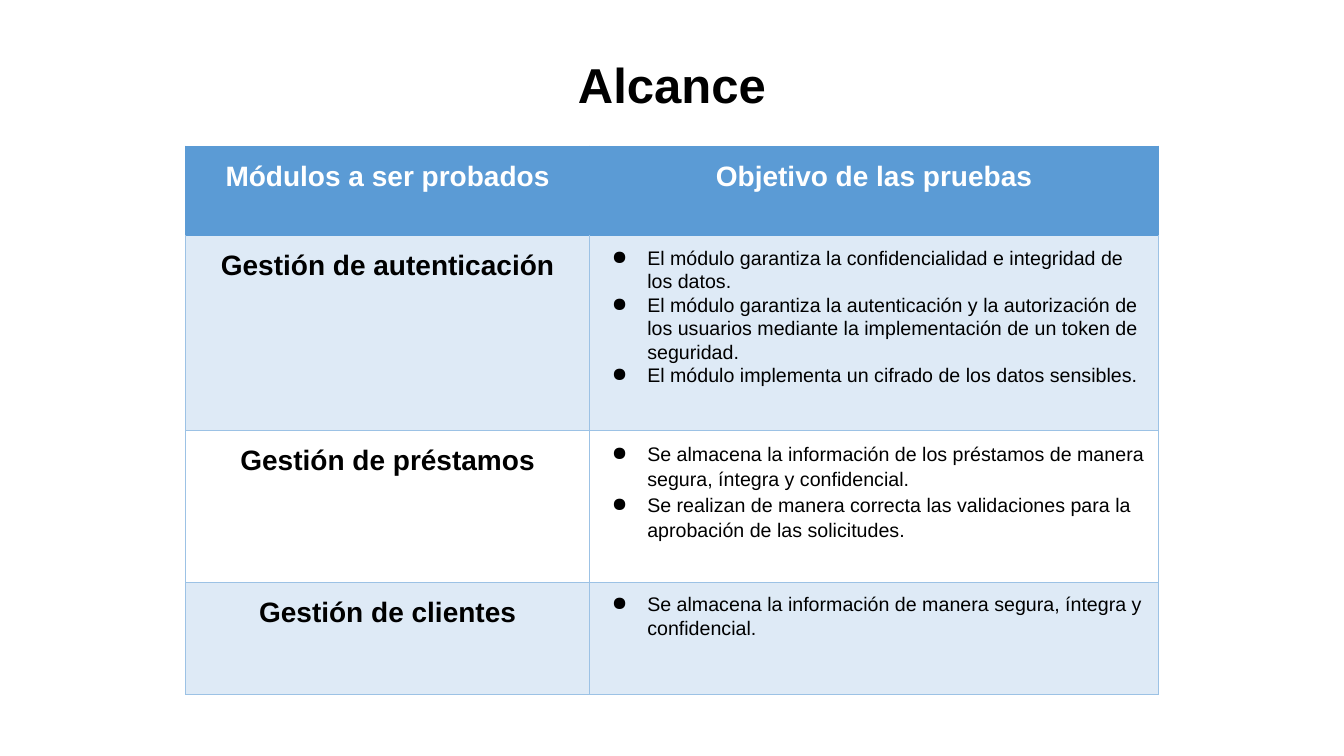
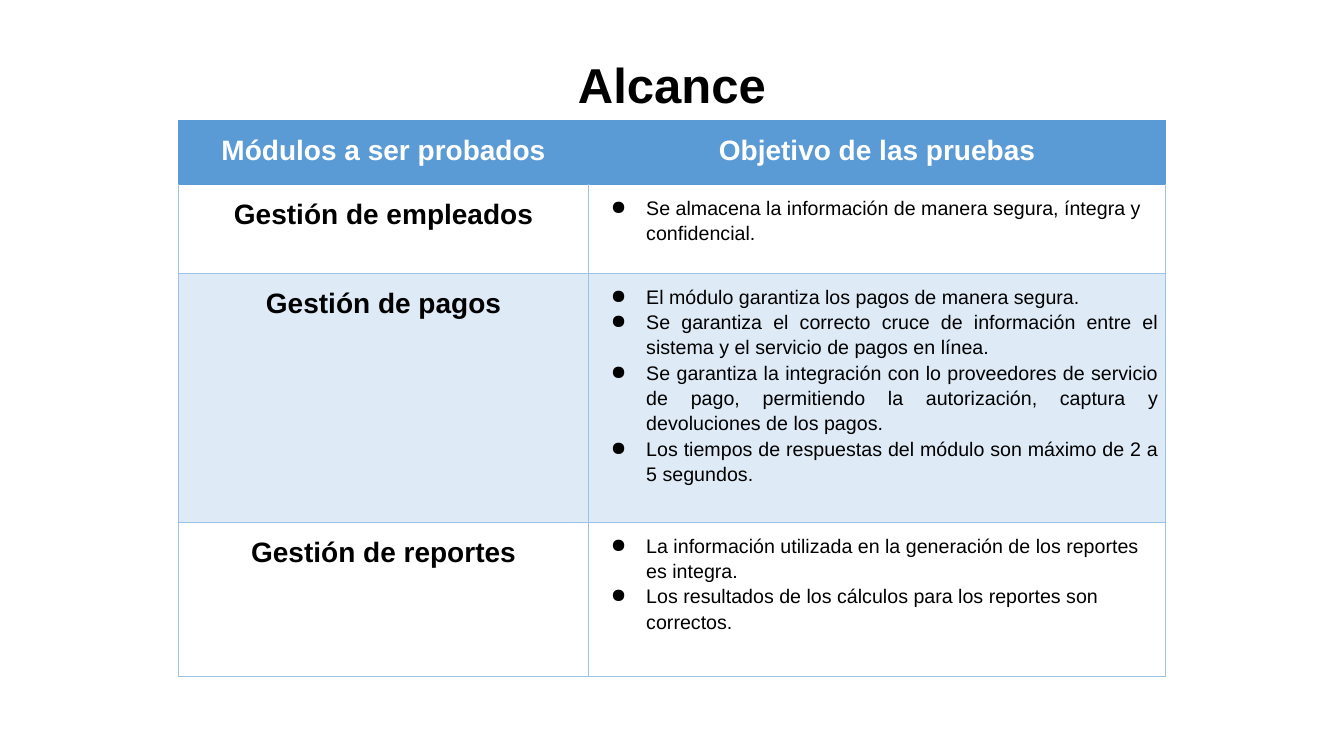
"""Build two scope slides, each a title over a table of modules and test goals."""
from dataclasses import dataclass

from lxml import etree
from pptx import Presentation
from pptx import presentation as prs
from pptx import slide as sld
from pptx import table as tab
from pptx.dml.color import RGBColor
from pptx.enum import text as enum
from pptx.oxml import ns
from pptx.text import text as tx
from pptx.util import Inches, Pt

HUES = {"ink": "000000", "white": "FFFFFF", "head": "5B9BD5", "band": "DEEAF6", "edge": "9CC2E5"}
FONT = "Arial"
HEADS = ("Módulos a ser probados", "Objetivo de las pruebas")
MID, LEFT, JUST = enum.PP_ALIGN.CENTER, enum.PP_ALIGN.LEFT, enum.PP_ALIGN.JUSTIFY


@dataclass
class Module:
    name: str
    goals: list[str]
    height: float
    shade: bool = False
    lead: float = 1.15
    align: enum.PP_ALIGN = LEFT


@dataclass
class Scope:
    left: float
    top: float
    cols: tuple[float, float]
    head: float
    rows: list[Module]


SCOPES = [
    Scope(1.84, 1.45, (4.01, 5.64), 0.89, [
        Module("Gestión de autenticación", [
            "El módulo garantiza la confidencialidad e integridad de los datos.",
            "El módulo garantiza la autenticación y la autorización de los usuarios "
            "mediante la implementación de un token de seguridad.",
            "El módulo implementa un cifrado de los datos sensibles.",
        ], 1.93, shade=True, lead=1.07),
        Module("Gestión de préstamos", [
            "Se almacena la información de los préstamos de manera segura, íntegra y confidencial.",
            "Se realizan de manera correcta las validaciones para la aprobación de las solicitudes.",
        ], 1.51),
        Module("Gestión de clientes", [
            "Se almacena la información de manera segura, íntegra y confidencial.",
        ], 1.11, shade=True, lead=1.07),
    ]),
    Scope(1.77, 1.19, (4.07, 5.72), 0.64, [
        Module("Gestión de empleados", [
            "Se almacena la información de manera segura, íntegra y confidencial.",
        ], 0.88),
        Module("Gestión de pagos", [
            "El módulo garantiza los pagos de manera segura.",
            "Se garantiza el correcto cruce de información entre el sistema y el servicio "
            "de pagos en línea.",
            "Se garantiza la integración con lo proveedores de servicio de pago, "
            "permitiendo la autorización, captura y devoluciones de los pagos.",
            "Los tiempos de respuestas del módulo son máximo de 2 a 5 segundos.",
        ], 2.47, shade=True, align=JUST),
        Module("Gestión de reportes", [
            "La información utilizada en la generación de los reportes es integra.",
            "Los resultados de los cálculos para los reportes son correctos.",
        ], 1.53),
    ]),
]


def bullet(para: tx._Paragraph) -> None:
    props = para._p.get_or_add_pPr()
    props.set("marL", str(Inches(0.5)))
    props.set("indent", str(Inches(-0.35)))
    tint = etree.SubElement(props, ns.qn("a:buClr"))
    etree.SubElement(tint, ns.qn("a:srgbClr"), val=HUES["ink"])
    etree.SubElement(props, ns.qn("a:buChar"), char="●")


def write(frame: tx.TextFrame, *lines: str, size: float = 20, bold: bool = True,
          hue: str = "ink", align: enum.PP_ALIGN = MID, lead: float = 1.15,
          dots: bool = False) -> None:
    for spot, line in enumerate(lines):
        para = frame.add_paragraph() if spot else frame.paragraphs[0]
        if dots:
            bullet(para)
        para.alignment = align
        para.line_spacing = lead
        run = para.add_run()
        run.text = line
        run.font.name = FONT
        run.font.size = Pt(size)
        run.font.bold = bold
        run.font.color.rgb = RGBColor.from_string(HUES[hue])


def border(cell: tab._Cell, hue: str, top: str) -> None:
    props = cell._tc.get_or_add_tcPr()
    for spot, side in enumerate(("lnL", "lnR", "lnT", "lnB")):
        line = etree.Element(ns.qn(f"a:{side}"), w=str(Pt(0.75)))
        fill = etree.SubElement(line, ns.qn("a:solidFill"))
        tint = HUES[top if side == "lnT" else hue]
        etree.SubElement(fill, ns.qn("a:srgbClr"), val=tint)
        props.insert(spot, line)


def dress(cell: tab._Cell, fill: str | None, edge: str, top: str) -> None:
    cell.margin_left = cell.margin_right = Inches(0.07)
    cell.margin_top = cell.margin_bottom = Inches(0.1)
    cell.vertical_anchor = enum.MSO_ANCHOR.TOP
    if fill:
        cell.fill.solid()
        cell.fill.fore_color.rgb = RGBColor.from_string(HUES[fill])
    else:
        cell.fill.background()
    border(cell, edge, top)


def add_title(slide: sld.Slide, label: str) -> None:
    title = slide.shapes.title
    title.left, title.top = Inches(0.93), Inches(0.4)
    title.width, title.height = Inches(11.47), Inches(0.69)
    frame = title.text_frame
    frame.word_wrap = True
    frame.auto_size = enum.MSO_AUTO_SIZE.NONE
    frame.vertical_anchor = enum.MSO_ANCHOR.TOP
    write(frame, label, size=35)


def add_grid(slide: sld.Slide, scope: Scope) -> None:
    highs = [scope.head] + [row.height for row in scope.rows]
    grid = slide.shapes.add_table(
        len(highs), len(scope.cols), Inches(scope.left), Inches(scope.top),
        Inches(sum(scope.cols)), Inches(sum(highs))).table
    for col, width in zip(grid.columns, scope.cols):
        col.width = Inches(width)
    for row, high in zip(grid.rows, highs):
        row.height = Inches(high)
    for spot, label in enumerate(HEADS):
        cell = grid.cell(0, spot)
        dress(cell, "head", "head", "head")
        write(cell.text_frame, label, hue="white")
    for spot, row in enumerate(scope.rows, 1):
        name, goals = grid.cell(spot, 0), grid.cell(spot, 1)
        for cell in (name, goals):
            dress(cell, "band" if row.shade else None, "edge", "head" if spot == 1 else "edge")
        write(name.text_frame, row.name)
        write(goals.text_frame, *row.goals, size=14, bold=False,
              align=row.align, lead=row.lead, dots=True)


def add_scope(deck: prs.Presentation, scope: Scope) -> None:
    slide = deck.slides.add_slide(deck.slide_layouts[5])
    add_title(slide, "Alcance")
    add_grid(slide, scope)


def main() -> None:
    deck = Presentation()
    deck.slide_width, deck.slide_height = Inches(13.33), Inches(7.5)
    for scope in SCOPES:
        add_scope(deck, scope)
    deck.save("out.pptx")


if __name__ == "__main__":
    main()
